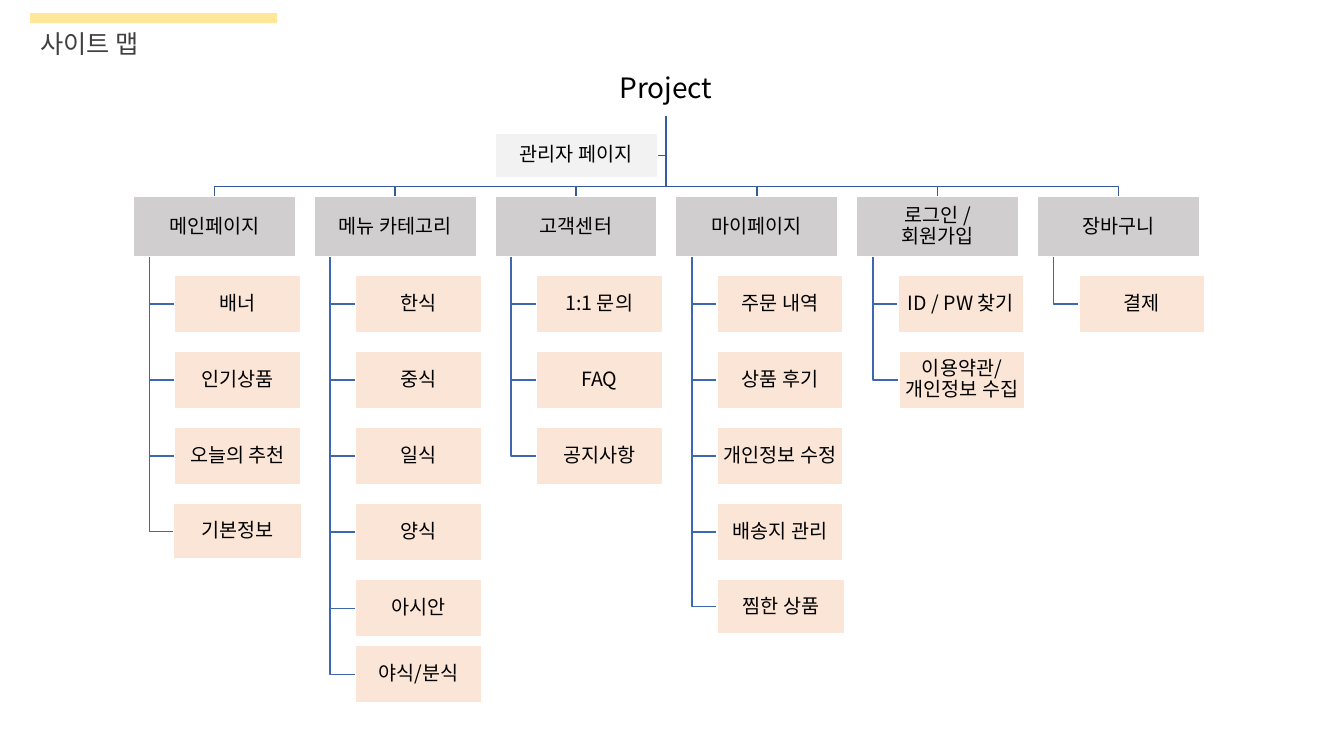
import pptx
import pptx.dml.color
import pptx.enum.shapes
import pptx.enum.text
import pptx.oxml.ns
import pptx.util
from lxml import etree

RGBColor = pptx.dml.color.RGBColor
WHITE = RGBColor(0xFF, 0xFF, 0xFF)
BLACK = RGBColor(0x00, 0x00, 0x00)
TITLE_GRAY = RGBColor(0x40, 0x40, 0x40)
YELLOW = RGBColor(0xFF, 0xE6, 0x99)
ADMIN_GRAY = RGBColor(0xF2, 0xF2, 0xF2)
SECTION_GRAY = RGBColor(0xD0, 0xCE, 0xCE)
PAGE_PEACH = RGBColor(0xFB, 0xE5, 0xD6)
TRUNK_BLUE = RGBColor(0x36, 0x5B, 0x9D)
BRANCH_BLUE = RGBColor(0x3E, 0x67, 0xB2)
MAP_FONT = "Noto Sans CJK KR"
TITLE_FONT = "Roboto"

ROOT = (5.93, 0.64, 1.35, 0.5)
ADMIN = (4.91, 1.32, 1.61, 0.44)
FIRST_SECTION = (1.32, 1.95, 1.61, 0.6)
SECTION_PITCH = (10.29 - 1.32) / 5
PAGE_INDENT, PAGE_DROP = 0.41, 0.78
PAGE_WIDTH, PAGE_HEIGHT = 1.25, 0.57
PAGE_PITCH = (5.75 - 2.73) / 4

SITE_MAP = {
    "메인페이지": ["배너", "인기상품", "오늘의 추천", "기본정보"],
    "메뉴 카테고리": ["한식", "중식", "일식", "양식", "아시안", "야식/분식"],
    "고객센터": ["1:1 문의", "FAQ", "공지사항"],
    "마이페이지": ["주문 내역", "상품 후기", "개인정보 수정", "배송지 관리", "찜한 상품"],
    "로그인 /\v회원가입": ["ID / PW 찾기", "이용약관/\v개인정보 수집"],
    "장바구니": ["결제"],
}
PAGE_ADJUSTMENTS = {
    "기본정보": (-0.01, 0, 0.02, -0.02),
    "야식/분식": (0, -0.1, 0, 0),
    "찜한 상품": (0, 0, 0.02, -0.03),
    "이용약관/\v개인정보 수집": (0.01, 0, 0, 0),
}


def inches(*lengths):
    return [pptx.util.Inches(length) for length in lengths]


def style_paragraph(paragraph, font_name, size, color):
    font = paragraph.font
    font.name, font.size = font_name, pptx.util.Pt(size)
    font.color.rgb = color
    qn = pptx.oxml.ns.qn
    defaults = paragraph._p.pPr.find(qn("a:defRPr"))
    etree.SubElement(defaults, qn("a:ea")).set("typeface", font_name)


def add_rectangle(slide, box, fill):
    rectangle = slide.shapes.add_shape(
        pptx.enum.shapes.MSO_SHAPE.RECTANGLE, *inches(*box))
    rectangle.shadow.inherit = False
    rectangle.fill.solid()
    rectangle.fill.fore_color.rgb = fill
    rectangle.line.fill.background()
    return rectangle


def add_node(slide, box, label, fill, size=14):
    node = add_rectangle(slide, box, fill)
    node.line.color.rgb = WHITE
    node.line.width = pptx.util.Pt(1)
    frame = node.text_frame
    frame.word_wrap = True
    frame.vertical_anchor = pptx.enum.text.MSO_ANCHOR.MIDDLE
    frame.margin_left = frame.margin_right = pptx.util.Inches(0.01)
    frame.margin_top = frame.margin_bottom = pptx.util.Inches(0.01)
    frame.text = label
    paragraph = frame.paragraphs[0]
    paragraph.alignment = pptx.enum.text.PP_ALIGN.CENTER
    paragraph.line_spacing = 0.9
    style_paragraph(paragraph, MAP_FONT, size, BLACK)


def add_elbow(slide, points, color):
    start, *rest = [inches(*point) for point in points]
    builder = slide.shapes.build_freeform(*start)
    builder.add_line_segments(rest, close=False)
    elbow = builder.convert_to_shape()
    elbow.shadow.inherit = False
    elbow.fill.background()
    elbow.line.color.rgb = color
    elbow.line.width = pptx.util.Pt(1)


def add_title(slide, box):
    left, top, width, height = box
    add_rectangle(slide, (left, top, width, 0.1), YELLOW)
    title = slide.shapes.add_textbox(*inches(left, top + 0.1, 1.25, height - 0.1))
    frame = title.text_frame
    frame.word_wrap = False
    frame.auto_size = pptx.enum.text.MSO_AUTO_SIZE.SHAPE_TO_FIT_TEXT
    frame.text = "사이트 맵"
    style_paragraph(frame.paragraphs[0], TITLE_FONT, 18, TITLE_GRAY)


def add_trunk(slide, section_boxes):
    left, top, width, height = ROOT
    root_x, root_y = left + width / 2, top + height
    for section_left, section_top, section_width, _ in section_boxes:
        section_x, rail_y = section_left + section_width / 2, section_top - 0.1
        add_elbow(slide, [(root_x, root_y), (root_x, rail_y),
                          (section_x, rail_y), (section_x, section_top)], TRUNK_BLUE)
    admin_left, admin_top, admin_width, admin_height = ADMIN
    admin_y = admin_top + admin_height / 2
    add_elbow(slide, [(root_x, root_y), (root_x, admin_y),
                      (admin_left + admin_width, admin_y)], TRUNK_BLUE)
    add_node(slide, ROOT, "Project", WHITE, 20)
    add_node(slide, ADMIN, "관리자 페이지", ADMIN_GRAY)


def add_section(slide, box, heading, pages):
    left, top, width, height = box
    stem_x, stem_y = left + width / 10, top + height
    add_node(slide, box, heading, SECTION_GRAY)
    for row, page in enumerate(pages):
        regular = (left + PAGE_INDENT, top + PAGE_DROP + row * PAGE_PITCH,
                   PAGE_WIDTH, PAGE_HEIGHT)
        shifts = PAGE_ADJUSTMENTS.get(page, (0, 0, 0, 0))
        page_box = [length + shift for length, shift in zip(regular, shifts)]
        page_y = page_box[1] + page_box[3] / 2
        add_elbow(slide, [(stem_x, stem_y), (stem_x, page_y),
                          (page_box[0], page_y)], BRANCH_BLUE)
        add_node(slide, page_box, page, PAGE_PEACH)


def main():
    presentation = pptx.Presentation()
    presentation.slide_width, presentation.slide_height = inches(13.33, 7.5)
    slide = presentation.slides.add_slide(presentation.slide_layouts[6])
    add_title(slide, (0.3, 0.13, 2.45, 0.5))
    left, top, width, height = FIRST_SECTION
    section_boxes = [(left + column * SECTION_PITCH, top, width, height)
                     for column in range(len(SITE_MAP))]
    add_trunk(slide, section_boxes)
    for box, (heading, pages) in zip(section_boxes, SITE_MAP.items()):
        add_section(slide, box, heading, pages)
    presentation.save("out.pptx")


if __name__ == "__main__":
    main()
